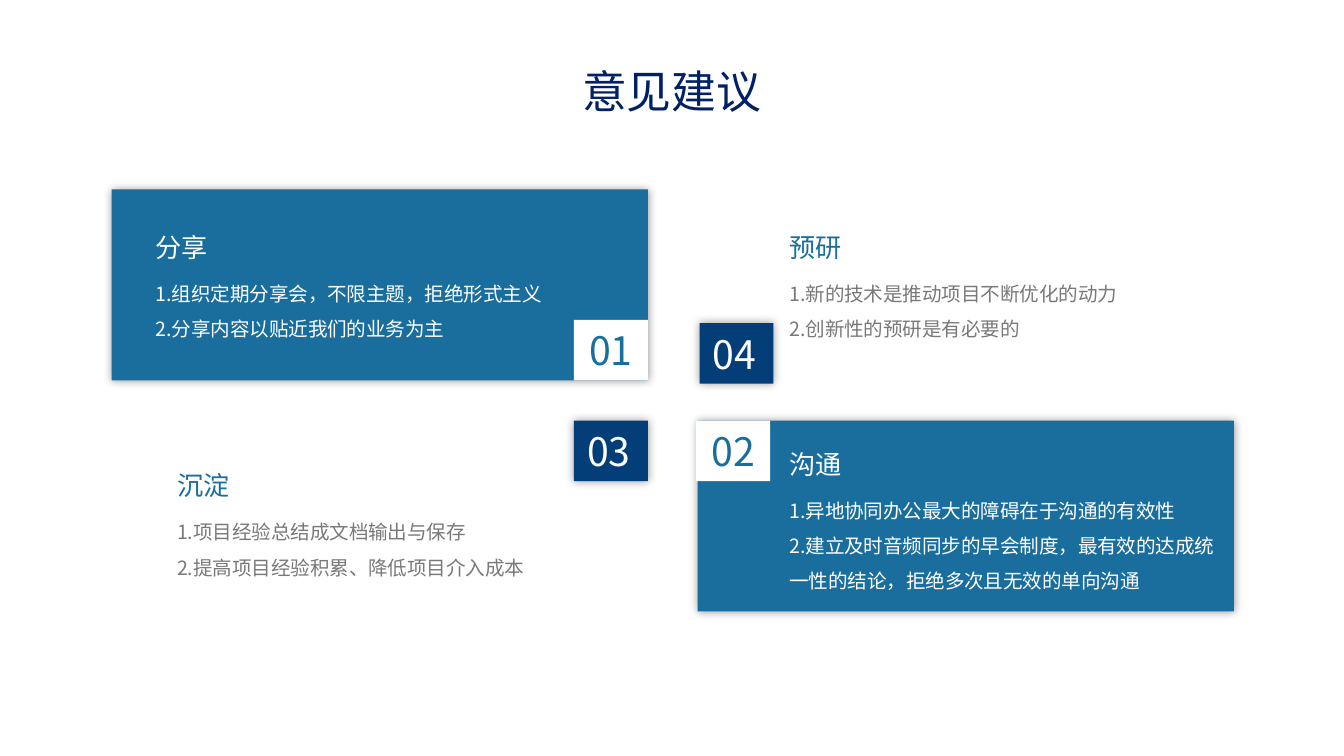
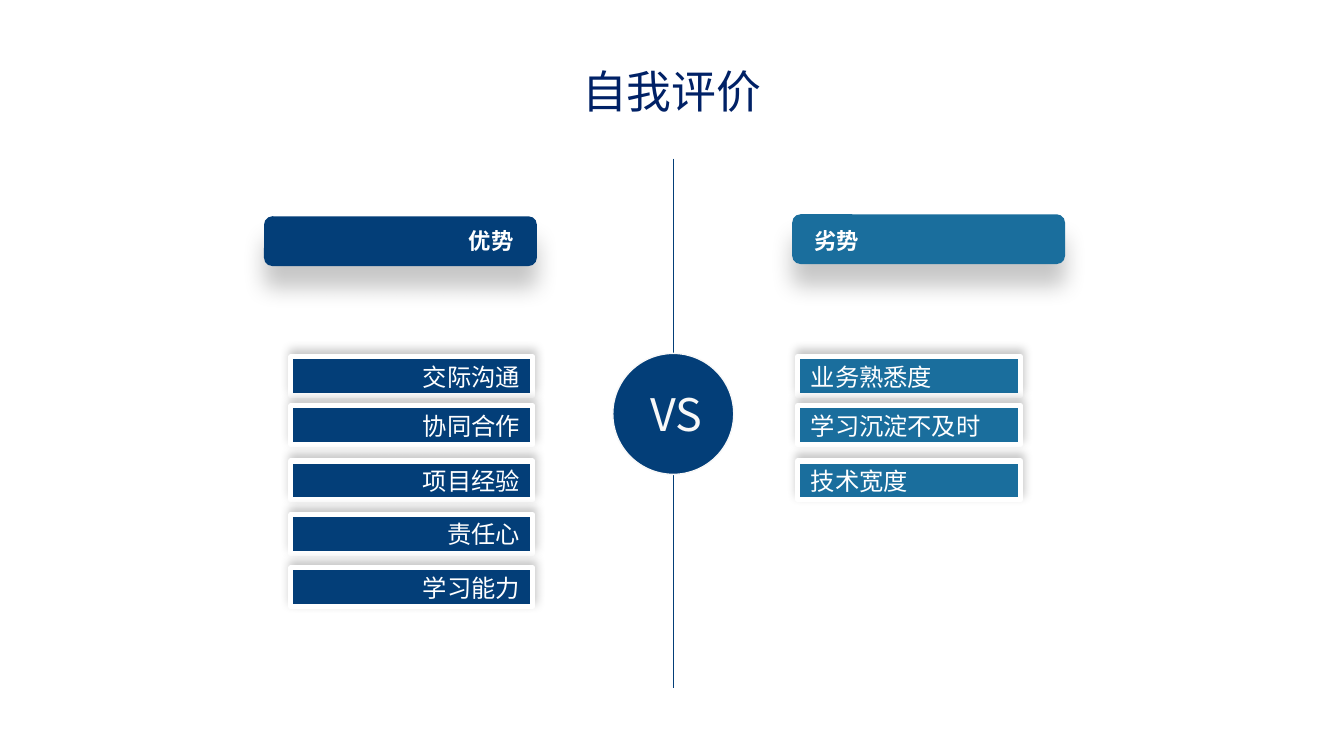
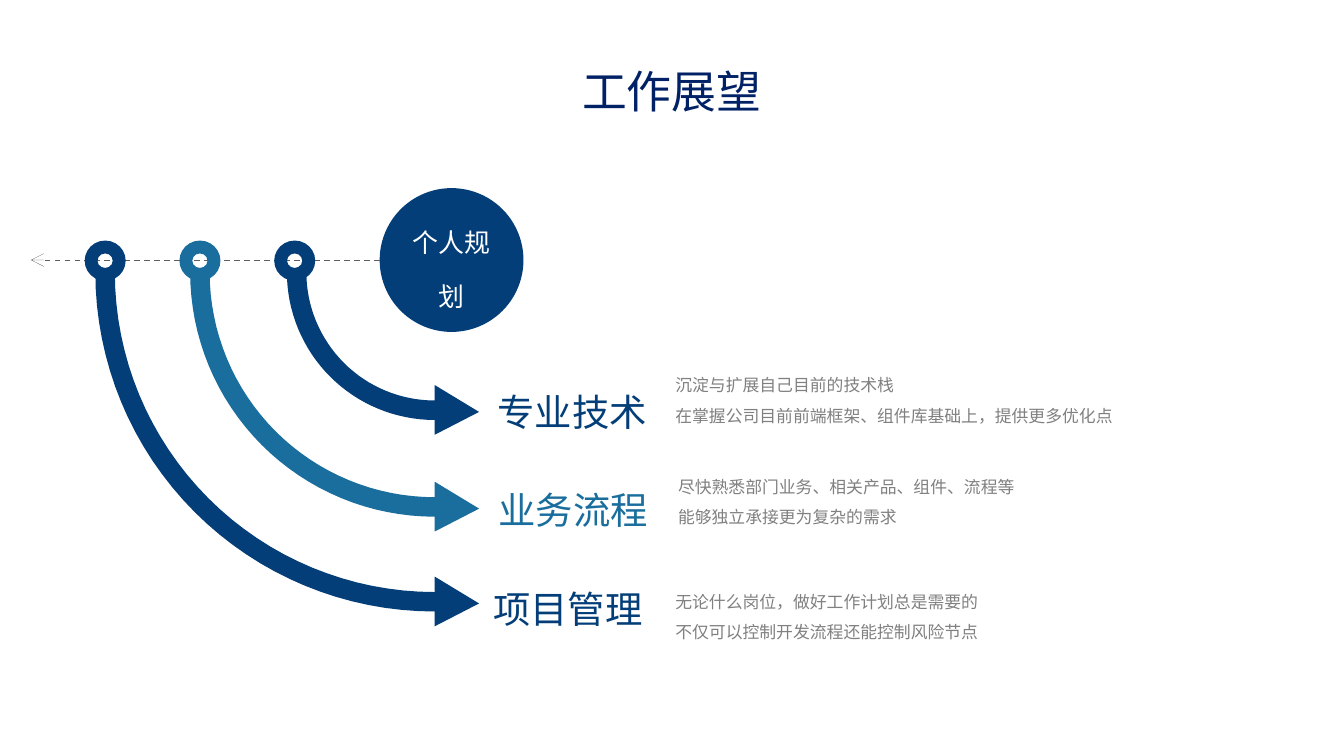
from dataclasses import dataclass
from math import cos, pi, sin

from lxml import etree
from pptx import Presentation
from pptx.dml.color import RGBColor
from pptx.enum.dml import MSO_LINE
from pptx.enum.shapes import MSO_CONNECTOR, MSO_SHAPE
from pptx.enum.text import MSO_ANCHOR, MSO_AUTO_SIZE, PP_ALIGN
from pptx.oxml.ns import qn
from pptx.util import Inches, Pt

RECT, ROUND = MSO_SHAPE.RECTANGLE, MSO_SHAPE.ROUNDED_RECTANGLE
OVAL, RING = MSO_SHAPE.OVAL, MSO_SHAPE.DONUT
LEFT, MID, RIGHT = PP_ALIGN.LEFT, PP_ALIGN.CENTER, PP_ALIGN.RIGHT
TOP, CORE = MSO_ANCHOR.TOP, MSO_ANCHOR.MIDDLE
GROW, FIXED = MSO_AUTO_SIZE.SHAPE_TO_FIT_TEXT, MSO_AUTO_SIZE.NONE
DASH, LINE = MSO_LINE.DASH, MSO_CONNECTOR.STRAIGHT

WIDE = Inches(10)
TALL = WIDE * 9 // 16
CELL = WIDE / 100


@dataclass(frozen=True)
class Theme:
    font: str = "Noto Sans CJK SC"
    ink: str = "002166"
    navy: str = "033E78"
    blue: str = "1A6E9D"
    white: str = "FFFFFF"
    pale: str = "F8F8F8"
    gray: str = "797979"
    mute: str = "808080"
    rule: str = "5F5F5F"
    title: float = 24
    tag: float = 21
    topic: float = 20
    head: float = 14
    item: float = 13
    label: float = 12
    body: float = 10.5
    note: float = 9
    pad: tuple = (1, 0.5)
    slim: tuple = (0.6, 0.3)
    glow: tuple = (40, 5, 0, 0)
    drop: tuple = (22, 12, 12, 90)
    lift: tuple = (22, 5, 3, 275)


T = Theme()


@dataclass(frozen=True)
class Box:
    x: float
    y: float
    w: float
    h: float

    def sub(self, x, y, w, h):
        return Box(self.x + x, self.y + y, w, h)

    def emu(self):
        return [grid(n) for n in (self.x, self.y, self.w, self.h)]


def grid(n):
    return round(n * CELL)


def rgb(tone):
    return RGBColor.from_string(tone)


def shade(shape, kind):
    shape.shadow.inherit = False
    if not kind:
        return
    alpha, blur, dist, turn = kind
    host = shape._element.spPr.find(qn("a:effectLst"))
    drop = etree.SubElement(host, qn("a:outerShdw"), blurRad=str(Pt(blur)),
                            dist=str(Pt(dist)), dir=str(turn * 60000),
                            algn="ctr", rotWithShape="0")
    tone = etree.SubElement(drop, qn("a:srgbClr"), val="000000")
    etree.SubElement(tone, qn("a:alpha"), val=str(alpha * 1000))


def paint(shape, fill, edge=None, width=0.75, shadow=None):
    shape.fill.solid()
    shape.fill.fore_color.rgb = rgb(fill)
    if edge:
        shape.line.color.rgb = rgb(edge)
        shape.line.width = Pt(width)
    else:
        shape.line.fill.background()
    shade(shape, shadow)
    return shape


def block(parts, kind, box, fill, **look):
    return paint(parts.add_shape(kind, *box.emu()), fill, **look)


def write(shape, lines, size, tone, align=LEFT, anchor=TOP, wrap=True,
          grow=True, space=None, bold=None, pad=T.pad, base=None):
    frame = shape.text_frame
    frame.word_wrap = wrap
    frame.auto_size = GROW if grow else FIXED
    frame.vertical_anchor = anchor
    frame.margin_left = frame.margin_right = grid(pad[0])
    frame.margin_top = frame.margin_bottom = grid(pad[1])
    for i, line in enumerate(lines):
        para = frame.add_paragraph() if i else frame.paragraphs[0]
        para.alignment = align
        if space:
            para.line_spacing = space
        run = para.add_run()
        run.text = line
        font = run.font
        font.name, font.size, font.bold = T.font, Pt(size), bold
        font.color.rgb = rgb(tone)
        props = run._r.get_or_add_rPr()
        etree.SubElement(props, qn("a:ea"), typeface=T.font)
        if base:
            props.set("baseline", str(base * 1000))


def note(parts, box, lines, size, tone, **look):
    write(parts.add_textbox(*box.emu()), lines, size, tone, **look)


def wire(parts, start, end, tone, width):
    link = parts.add_connector(LINE, *[grid(n) for n in start + end])
    link.line.color.rgb = rgb(tone)
    link.line._get_or_add_ln().set("w", str(Pt(width)))
    etree.SubElement(link._element.spPr, qn("a:effectLst"))
    return link


def page(deck, title):
    parts = deck.slides.add_slide(deck.slide_layouts[6]).shapes
    note(parts, Box(36.63, 4.45, 26.7, 4.6), [title], T.title, T.ink,
         align=MID, pad=T.slim)
    return parts


def card(parts, box, full, tag, spot, head, start, wide, lines):
    parts = parts.add_group_shape().shapes
    if full:
        block(parts, RECT, box, T.blue, shadow=T.glow)
    mark = block(parts, RECT, box.sub(*spot, 5.5, 4.5),
                 T.white if full else T.navy,
                 shadow=None if full else T.glow)
    write(mark, [tag], T.tag, T.blue if full else T.white,
          align=MID if full else LEFT, wrap=False)
    x, y = start
    note(parts, box.sub(x, y + 2.9, wide, 0.9 + 2.7 * len(lines)), lines,
         T.body, T.white if full else T.gray, space=1.5)
    note(parts, box.sub(x, y, 18.4, 3.4), [head], T.head,
         T.white if full else T.blue)


def advice(deck):
    parts = page(deck, "意见建议")
    west, east, north, south = 8.3, 51.9, 14.1, 31.3
    cards = [
        (west, north, True, "01", (34.4, 9.7), "分享", (2.3, 2.6), 31.9,
         ["1.组织定期分享会，不限主题，拒绝形式主义",
          "2.分享内容以贴近我们的业务为主"]),
        (west, south, False, "03", (34.4, 0), "沉淀", (3.9, 3.15), 30.3,
         ["1.项目经验总结成文档输出与保存",
          "2.提高项目经验积累、降低项目介入成本"]),
        (east, south, True, "02", (-0.1, 0), "沟通", (5.85, 1.55), 34.1,
         ["1.异地协同办公最大的障碍在于沟通的有效性",
          "2.建立及时音频同步的早会制度，最有效的达成统一性的结论，"
          "拒绝多次且无效的单向沟通"]),
        (east, north, False, "04", (0.15, 9.95), "预研", (5.85, 2.6), 30.3,
         ["1.新的技术是推动项目不断优化的动力",
          "2.创新性的预研是有必要的"]),
    ]
    for x, y, *rest in cards:
        card(parts, Box(x, y, 39.9, 14.2), *rest)


def side(parts, box, tone, align, head, label, inset, wide, items):
    block(parts, ROUND, box, tone, shadow=T.drop)
    note(parts, label, [head], T.label, T.white, align=align, wrap=False,
         bold=True)
    for top, item in zip((26.55, 30.2, 34.3, 38.3, 42.25), items):
        bar = block(parts, RECT, Box(box.x + inset, top, wide, 2.9), tone,
                    edge=T.white, width=2.75, shadow=T.lift)
        write(bar, [item], T.item, T.white, align=align, anchor=CORE,
              grow=False)


def hub(parts, box):
    mid = box.x + box.w / 2
    wire(parts, (mid, 11.8), (mid, 27.8), T.navy, 0.75)
    wire(parts, (mid, box.y + box.h), (mid, 51.2), T.navy, 0.75)
    block(parts, OVAL, box, T.navy, edge=T.pale)
    note(parts, box.sub(1.8, 2, 6.2, 5), ["VS"], T.title, T.pale, wrap=False)


def review(deck):
    parts = page(deck, "自我评价")
    side(parts, Box(19.65, 16.1, 20.3, 3.7), T.navy, RIGHT, "优势",
         Box(33.8, 16.4, 5.4, 3), 2, 18,
         ["交际沟通", "协同合作", "项目经验", "责任心", "学习能力"])
    side(parts, Box(58.95, 15.95, 20.3, 3.7), T.blue, LEFT, "劣势",
         Box(59.6, 16.4, 5.4, 3), 0.4, 16.6,
         ["业务熟悉度", "学习沉淀不及时", "技术宽度"])
    hub(parts, Box(45.6, 26.3, 9, 9))


def bend(parts, x, y, far, tone):
    near, steps = far - 1.45, 32
    turns = [pi / 2 * i / steps for i in range(steps + 1)]
    outer = [(x - far * sin(t), y + far * cos(t)) for t in turns]
    inner = [(x - near * sin(t), y + near * cos(t)) for t in turns[::-1]]
    tip = [(x, y + far - 2.6), (x + 3.3, y + far - 0.6), (x, y + far + 1.1)]
    dots = [(grid(a), grid(b)) for a, b in outer + inner + tip]
    path = parts.build_freeform(*dots[0])
    path.add_line_segments(dots[1:], close=True)
    paint(path.convert_to_shape(), tone)


def axis(parts, box):
    ball = block(parts, OVAL, box, T.navy)
    write(ball, ["个人规划"], T.title, T.white, align=MID, anchor=CORE,
          grow=False, pad=T.slim, base=-3)
    level = box.y + box.h / 2
    link = wire(parts, (box.x, level), (2.3, level), T.rule, 0)
    link.line.dash_style = DASH
    etree.SubElement(link.line._get_or_add_ln(), qn("a:tailEnd"), type="arrow")


def goal(parts, ring, far, tone, name, spot, lines, place):
    dot = block(parts, RING, Box(ring, 17.9, 3.05, 3), tone)
    dot.adjustments[0] = 0.32
    bend(parts, 32.35, 20.25, far, tone)
    note(parts, Box(*spot, 12.5, 4), [name], T.topic, tone, anchor=CORE,
         wrap=False, pad=T.slim)
    note(parts, Box(*place, 41.1, 4.9), lines, T.note, T.mute, space=1.5,
         pad=T.slim)


def outlook(deck):
    parts = page(deck, "工作展望")
    axis(parts, Box(28.25, 14, 10.7, 10.7))
    goal(parts, 20.4, 11, T.navy, "专业技术", (36.4, 28.65),
         ["沉淀与扩展自己目前的技术栈",
          "在掌握公司目前前端框架、组件库基础上，提供更多优化点"],
         (49.65, 26.85))
    goal(parts, 13.35, 18.2, T.blue, "业务流程", (36.5, 35.9),
         ["尽快熟悉部门业务、相关产品、组件、流程等",
          "能够独立承接更为复杂的需求"], (49.85, 34.4))
    goal(parts, 6.3, 25.25, T.navy, "项目管理", (36.1, 43.3),
         ["无论什么岗位，做好工作计划总是需要的",
          "不仅可以控制开发流程还能控制风险节点"], (49.65, 42.95))


def main():
    deck = Presentation()
    deck.slide_width, deck.slide_height = WIDE, TALL
    for build in (advice, review, outlook):
        build(deck)
    deck.save("out.pptx")


if __name__ == "__main__":
    main()
